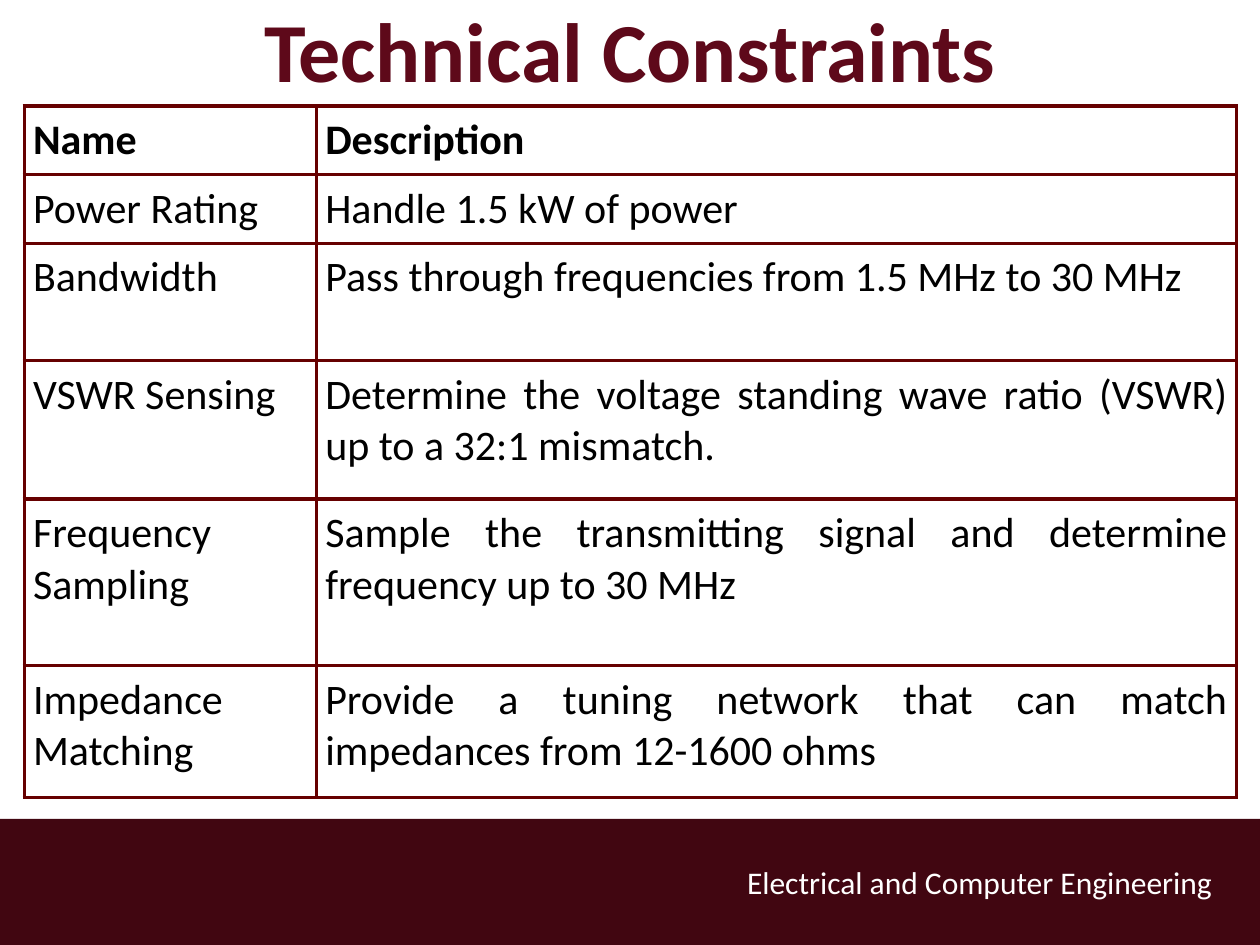
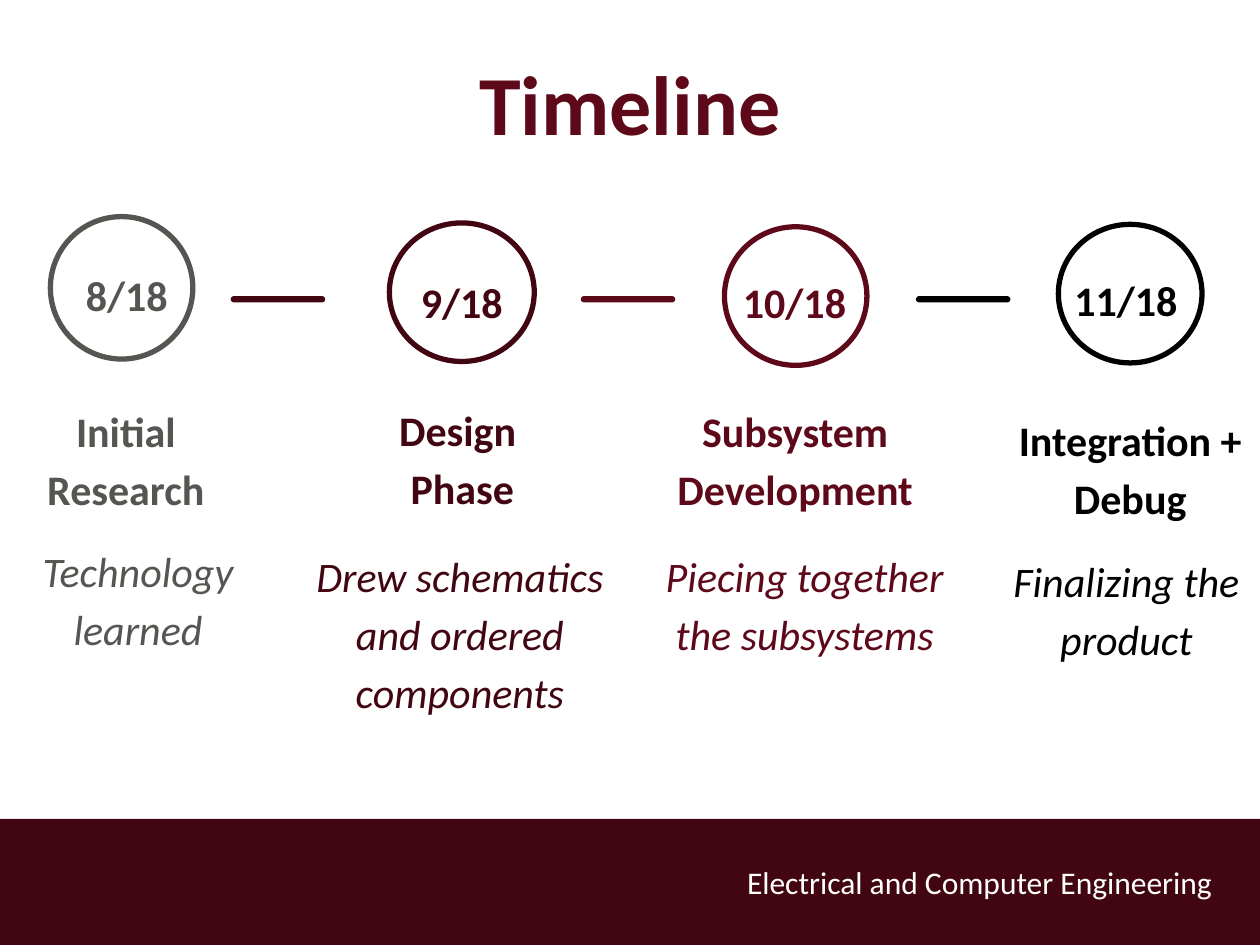
from dataclasses import dataclass
from lxml import etree
from pptx import Presentation
from pptx.dml.color import RGBColor as Rgb
from pptx.enum import shapes, text
from pptx.oxml import ns
from pptx.util import Pt


@dataclass(frozen=True)
class Theme:
    font: str = "Calibri"
    dark: str = "410611"
    wine: str = "5E091A"
    gray: str = "545651"
    black: str = "000000"
    white: str = "FFFFFF"
    rule: str = "660000"
    title: int = 48
    body: int = 24
    foot: int = 18


T = Theme()
MID, TOP, LOW = (text.MSO_ANCHOR.MIDDLE, text.MSO_ANCHOR.TOP,
                 text.MSO_ANCHOR.BOTTOM)
ALIGN = text.PP_ALIGN

ROWS = [
    ("Name", "Description"),
    ("Power Rating", "Handle 1.5 kW of power"),
    ("Bandwidth", "Pass through frequencies from 1.5 MHz to 30 MHz"),
    ("VSWR Sensing", "Determine the voltage standing wave ratio (VSWR) "
                     "up to a 32:1 mismatch."),
    ("Frequency Sampling", "Sample the transmitting signal and determine "
                           "frequency up to 30 MHz"),
    ("Impedance Matching", "Provide a tuning network that can match "
                           "impedances from 12-1600 ohms"),
]
COLS = (167, 525.6)
HEIGHTS = (38.9, 38.9, 67, 79.2, 95, 75.6)

# Ring box, colour, then (text, box relative to the ring) for each label
STEPS = [
    ((28.8, 123.8, 81.4, 81.4), T.gray,
     ("8/18", (5.8, 18.8, 75.6, 43)),
     ("Initial Research", (-34.6, 117.2, 155.5, 60)),
     ("Technology learned", (-36.7, 176.4, 173.5, 100))),
    ((222.5, 127.4, 82.8, 79.2), T.dark,
     ("9/18", (0, 18.8, 82.8, 43)),
     ("Design \nPhase", (-36, 113, 155.5, 60)),
     ("Drew schematics and ordered components",
      (-56.9, 175.7, 194.4, 100))),
    ((414, 129.6, 81.4, 79.2), T.wine,
     ("10/18", (-19.4, 16.6, 118.8, 43)),
     ("Subsystem Development", (-37.4, 111, 155.5, 60)),
     ("Piecing together the subsystems", (-41, 173.5, 173.5, 100))),
    ((604.8, 128.2, 82.1, 79.2), T.black,
     ("11/18", (-5, 17.2, 87.1, 43)),
     ("Integration + Debug", (-36.7, 118, 155.5, 60)),
     ("Finalizing the product", (-45.4, 177.8, 168.5, 100))),
]
DASHES = [(131.8, T.dark), (331.9, T.wine), (523.4, T.black)]


def pts(box):
    return [Pt(v) for v in box]


def style(frame, size, color, bold=False, slant=False, align=ALIGN.LEFT):
    for para in frame.paragraphs:
        para.alignment = align
        for run in para.runs:
            font = run.font
            font.name, font.size = T.font, Pt(size)
            font.bold, font.italic = bold, slant
            font.color.rgb = Rgb.from_string(color)


def shape(slide, kind, box, fill=None, line=None):
    item = slide.shapes.add_shape(kind, *pts(box))
    item.shadow.inherit = False
    if fill:
        item.fill.solid()
        item.fill.fore_color.rgb = Rgb.from_string(fill)
    else:
        item.fill.background()
    if line:
        item.line.color.rgb = Rgb.from_string(line)
        item.line.width = Pt(3)
    else:
        item.line.fill.background()
    return item


def label(slide, words, box, anchor=TOP, pad=7.2):
    item = slide.shapes.add_textbox(*pts(box))
    frame = item.text_frame
    frame.word_wrap = True
    frame.vertical_anchor = anchor
    frame.margin_top = frame.margin_bottom = Pt(pad)
    frame.text = words
    return item


# Footer band, kept on the layout that both slides share
def footer(slide, box):
    x, y, w, h = box
    layout = slide.slide_layout
    for holder in list(layout.placeholders)[1:]:
        holder.element.getparent().remove(holder.element)
    band = shape(slide, shapes.MSO_SHAPE.RECTANGLE, box, T.dark)
    name = label(slide, "Electrical and Computer Engineering",
                 (x + 419.8, y + 21.6, 326.2, 28.8), pad=3.6)
    style(name.text_frame, T.foot, T.white)
    for item in (band, name):
        layout.element.cSld.spTree.append(item.element)


def heading(slide, words, box):
    title = slide.shapes.title
    title.left, title.top, title.width, title.height = pts(box)
    frame = title.text_frame
    frame.text = words
    frame.vertical_anchor = MID
    frame.auto_size = text.MSO_AUTO_SIZE.NONE
    style(frame, T.title, T.wine, bold=True, align=ALIGN.CENTER)


# Constraint table
def border(cell):
    props = cell._tc.get_or_add_tcPr()
    for i, side in enumerate(("lnL", "lnR", "lnT", "lnB")):
        line = etree.Element(ns.qn("a:" + side), w=str(Pt(2.25)))
        fill = etree.SubElement(line, ns.qn("a:solidFill"))
        etree.SubElement(fill, ns.qn("a:srgbClr"), val=T.rule)
        props.insert(i, line)


def grid(slide, box):
    table = slide.shapes.add_table(len(ROWS), len(COLS), *pts(box)).table
    table.first_row = table.horz_banding = False
    for col, width in zip(table.columns, COLS):
        col.width = Pt(width)
    for r, (row, high) in enumerate(zip(ROWS, HEIGHTS)):
        table.rows[r].height = Pt(high)
        for c, words in enumerate(row):
            cell = table.cell(r, c)
            cell.text = words
            cell.fill.background()
            cell.margin_left = cell.margin_right = Pt(5)
            cell.margin_top = cell.margin_bottom = Pt(5)
            style(cell.text_frame, T.body, T.black, bold=r == 0,
                  align=ALIGN.JUSTIFY)
            border(cell)


# One timeline step: ring, date, heading and note
def step(slide, box, color, *parts):
    shape(slide, shapes.MSO_SHAPE.OVAL, box, line=color)
    looks = [(TOP, True, 16), (LOW, True, 0), (TOP, False, 16)]
    for (words, (dx, dy, w, h)), (anchor, bold, after) in zip(parts, looks):
        item = label(slide, words, (box[0] + dx, box[1] + dy, w, h), anchor)
        style(item.text_frame, T.body, color, bold, not bold, ALIGN.CENTER)
        for para in item.text_frame.paragraphs:
            para.line_spacing = 1.15
            para.space_after = Pt(after)


def dash(slide, box, color):
    bar = shape(slide, shapes.MSO_SHAPE.ROUNDED_RECTANGLE, box, color)
    bar.adjustments[0] = 0.5


def main():
    deck = Presentation()
    deck.slide_width, deck.slide_height = Pt(720), Pt(540)
    layout = deck.slide_layouts[5]

    # Technical constraints
    page = deck.slides.add_slide(layout)
    footer(page, (0, 468, 720, 72))
    heading(page, "Technical Constraints", (40.3, -4.3, 639.4, 64.8))
    grid(page, (13.9, 60.5, sum(COLS), sum(HEIGHTS)))

    # Timeline
    page = deck.slides.add_slide(layout)
    heading(page, "Timeline", (40.3, 25.9, 639.4, 64.8))
    for item in STEPS:
        step(page, *item)
    for x, color in DASHES:
        dash(page, (x, 169.2, 54, 3.6), color)

    deck.save("out.pptx")


if __name__ == "__main__":
    main()
